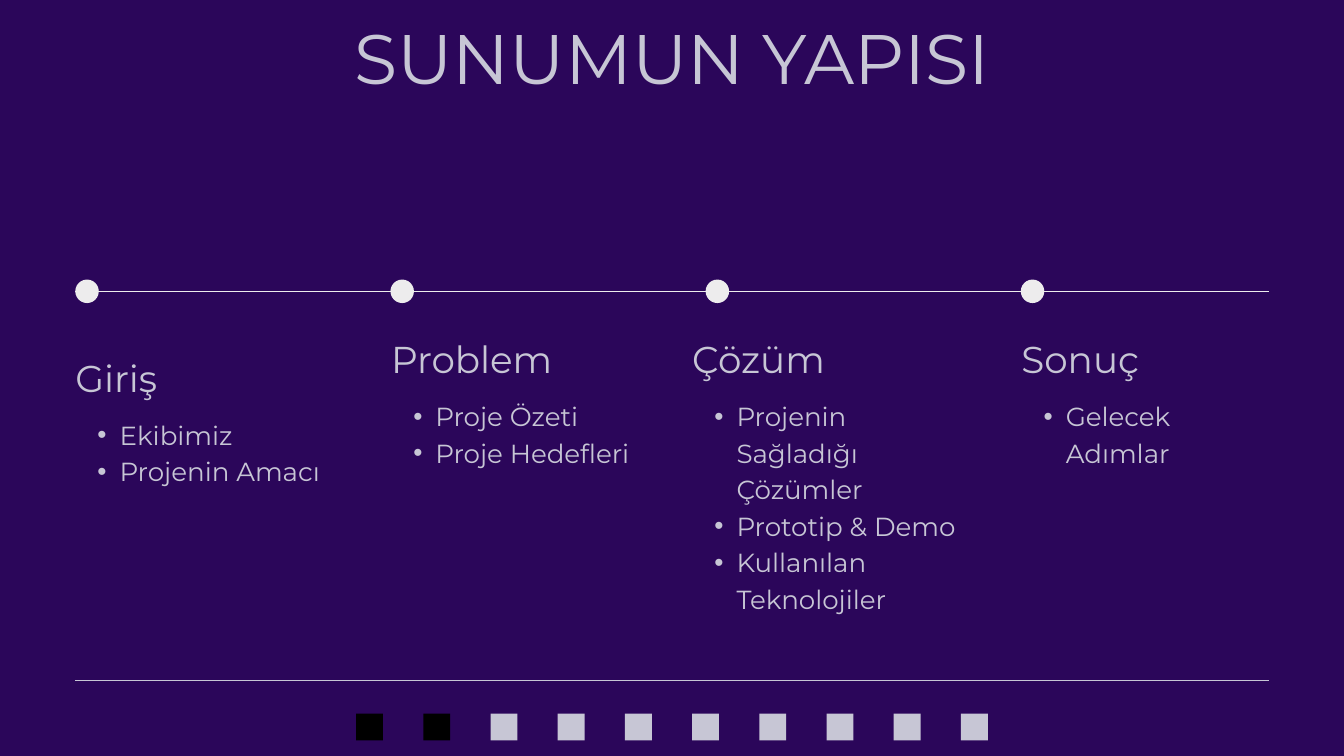
from dataclasses import dataclass

from lxml import etree
from pptx import Presentation
from pptx import util as u
from pptx.dml.color import RGBColor
from pptx.enum import shapes, text
from pptx.oxml.ns import qn


@dataclass(frozen=True)
class Theme:
    back: str = "2B065A"
    ink: str = "C7C6D5"
    glow: str = "EDECED"
    done: str = "000000"
    face: str = "Montserrat"
    title: float = 75
    head: float = 40
    item: float = 28


T = Theme()
COLS, ROWS = 20, 11.25  # square grid cells, one inch each
EDGE, WIDE = 1.12, 17.76  # left margin and content width
STEP = 4.69  # distance between timeline dots
DOT = 0.35

# heading, items, left, top, width
TOPICS = [
    ("Giriş", ["Ekibimiz", "Projenin Amacı"], EDGE, 5.28, 3.68),
    ("Problem", ["Proje Özeti", "Proje Hedefleri"], 5.82, 5, 3.68),
    ("Çözüm", ["Projenin Sağladığı Çözümler", "Prototip & Demo",
               "Kullanılan Teknolojiler"], 10.3, 5, 3.98),
    ("Sonuç", ["Gelecek Adımlar"], 15.2, 5, 3.68),
]


def cells(*nums):
    return [u.Inches(n) for n in nums]


def color(code):
    return RGBColor.from_string(code)


def rule(slide, x, y, wide, code):
    line = slide.shapes.add_connector(
        shapes.MSO_CONNECTOR.STRAIGHT, *cells(x, y, x + wide, y))
    line.line.color.rgb = color(code)
    line.line.width = u.Pt(0.75)
    etree.SubElement(line._element.spPr, qn("a:effectLst"))


def mark(slide, kind, box, code):
    shape = slide.shapes.add_shape(kind, *cells(*box))
    shape.shadow.inherit = False
    shape.fill.solid()
    shape.fill.fore_color.rgb = color(code)
    shape.line.fill.background()


def bullet(para):
    para.level = 1
    props = para._p.get_or_add_pPr()
    props.set("marL", str(u.Inches(0.66)))
    props.set("indent", str(u.Inches(-0.33)))
    etree.SubElement(props, qn("a:buFont"), typeface="Arial")
    etree.SubElement(props, qn("a:buChar"), char="•")


def write(shape, lines, size, lead, align=text.PP_ALIGN.LEFT, dots=False):
    frame = shape.text_frame
    frame.word_wrap = True
    frame.auto_size = text.MSO_AUTO_SIZE.NONE
    frame.vertical_anchor = text.MSO_ANCHOR.TOP
    frame.margin_left = frame.margin_right = 0
    frame.margin_top = frame.margin_bottom = 0
    frame.text = "\n".join(lines)
    for para in frame.paragraphs:
        if dots:
            bullet(para)
        para.alignment = align
        para.line_spacing = u.Pt(size * lead)
        para.space_before = u.Pt(0)
        for run in para.runs:
            run.font.name = T.face
            run.font.size = u.Pt(size)
            run.font.color.rgb = color(T.ink)


def title(slide, box, words):
    shape = slide.shapes.title
    shape.left, shape.top, shape.width, shape.height = cells(*box)
    write(shape, [words], T.title, 1.2, text.PP_ALIGN.CENTER)


def track(slide, box, count):
    x, y, wide, high = box
    rule(slide, x, y + high / 2, wide, T.glow)
    for i in range(count):
        mark(slide, shapes.MSO_SHAPE.OVAL,
             (x + i * STEP, y, high, high), T.glow)


def topic(slide, box, head, items):
    x, y, wide, high = box
    top = slide.shapes.add_textbox(*cells(x, y, wide, 0.66))
    write(top, [head], T.head, 1.2)
    body = slide.shapes.add_textbox(*cells(x, y + 0.88, wide, high - 0.88))
    write(body, items, T.item, 1.4, dots=True)


def footer(slide, box, count, done):
    x, y, wide, high = box
    rule(slide, x, y, wide, T.ink)
    side, gap = 0.4, 0.6
    pitch = side + gap
    start = x + (wide - count * pitch + gap) / 2
    for i in range(count):
        mark(slide, shapes.MSO_SHAPE.RECTANGLE,
             (start + i * pitch, y + high - side, side, side),
             T.done if i < done else T.ink)


def main():
    deck = Presentation()
    deck.slide_width, deck.slide_height = cells(COLS, ROWS)
    slide = deck.slides.add_slide(deck.slide_layouts[5])
    slide.background.fill.solid()
    slide.background.fill.fore_color.rgb = color(T.back)

    # Title and timeline
    title(slide, (EDGE, 0.22, WIDE, 1.24), "SUNUMUN YAPISI")
    track(slide, (EDGE, 4.16, WIDE, DOT), len(TOPICS))

    # Topics under the dots
    for head, items, x, y, wide in TOPICS:
        rows = 3.23 if len(items) > 2 else 1.06
        topic(slide, (x, y, wide, 0.88 + rows), head, items)

    # Progress squares
    footer(slide, (EDGE, 10.13, WIDE, 0.89), 10, 2)
    deck.save("out.pptx")


if __name__ == "__main__":
    main()
